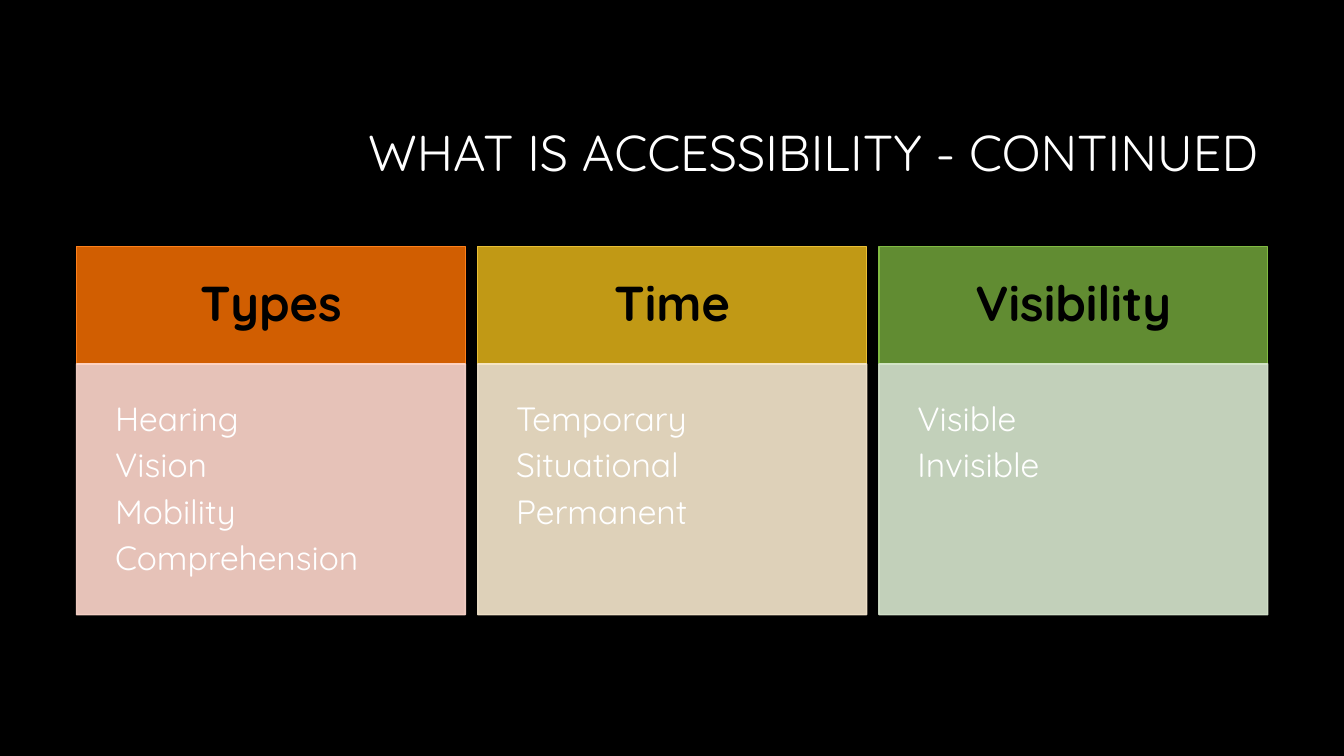
from dataclasses import dataclass

from lxml.etree import SubElement
from pptx import Presentation
from pptx.dml.color import RGBColor
from pptx.enum.shapes import MSO_SHAPE
from pptx.enum.text import MSO_ANCHOR, PP_ALIGN
from pptx.oxml.ns import qn
from pptx.shapes.autoshape import Shape
from pptx.slide import Slide
from pptx.util import Cm, Pt

FONT = "Quicksand"
BLACK = RGBColor(0x00, 0x00, 0x00)
WHITE = RGBColor(0xFF, 0xFF, 0xFF)
ORANGE = RGBColor(0xD1, 0x5E, 0x01)
AMBER = RGBColor(0xFE, 0x80, 0x1A)
PEACH = RGBColor(0xFF, 0xD8, 0xCD)
GOLD = RGBColor(0xC1, 0x99, 0x15)
YELLOW = RGBColor(0xE9, 0xBF, 0x35)
CREAM = RGBColor(0xF7, 0xE8, 0xCE)
GREEN = RGBColor(0x61, 0x8C, 0x32)
LIME = RGBColor(0x81, 0xBB, 0x42)
MINT = RGBColor(0xD8, 0xE7, 0xCF)

LEFT, TOP = 1.93, 6.22
WIDTH, STEP = 9.8, 10.11
HEAD, BODY = 2.95, 6.32


@dataclass(frozen=True)
class Column:
    title: str
    items: tuple[str, ...]
    fill: RGBColor
    edge: RGBColor
    tint: RGBColor


@dataclass(frozen=True)
class Style:
    size: float
    color: RGBColor
    bold: bool
    align: PP_ALIGN
    anchor: MSO_ANCHOR
    inset: float
    after: float


TITLE = Style(36, WHITE, False, PP_ALIGN.RIGHT, MSO_ANCHOR.MIDDLE, 0.25, 0)
HEADER = Style(35, BLACK, True, PP_ALIGN.CENTER, MSO_ANCHOR.MIDDLE, 0.79, 0)
LIST = Style(24, WHITE, False, PP_ALIGN.LEFT, MSO_ANCHOR.TOP, 0.97, 7.3)

COLUMNS = (
    Column("Types", ("Hearing", "Vision", "Mobility", "Comprehension"), ORANGE, AMBER, PEACH),
    Column("Time", ("Temporary", "Situational", "Permanent"), GOLD, YELLOW, CREAM),
    Column("Visibility", ("Visible", "Invisible"), GREEN, LIME, MINT),
)


def write(shape: Shape, text: str, style: Style) -> None:
    frame = shape.text_frame
    frame.text = text
    frame.word_wrap = True
    frame.vertical_anchor = style.anchor
    frame.margin_left = frame.margin_right = Cm(style.inset)
    frame.margin_top = frame.margin_bottom = Cm(style.inset)
    for line in frame.paragraphs:
        line.alignment = style.align
        line.line_spacing = 0.9
        line.space_after = Pt(style.after)
        for run in line.runs:
            run.font.name = FONT
            run.font.size = Pt(style.size)
            run.font.bold = style.bold
            run.font.color.rgb = style.color


def add_box(slide: Slide, left: float, top: float, height: float,
            fill: RGBColor, edge: RGBColor) -> Shape:
    box = slide.shapes.add_shape(
        MSO_SHAPE.RECTANGLE, Cm(left), Cm(top), Cm(WIDTH), Cm(height))
    box.shadow.inherit = False
    box.fill.solid()
    box.fill.fore_color.rgb = fill
    box.line.color.rgb = edge
    box.line.width = Pt(1)
    return box


def fade(box: Shape, percent: int) -> None:
    for color in box.element.spPr.iter(qn("a:srgbClr")):
        SubElement(color, qn("a:alpha")).set("val", str(percent * 1000))


def add_column(slide: Slide, left: float, column: Column) -> None:
    head = add_box(slide, left, TOP, HEAD, column.fill, column.edge)
    write(head, column.title, HEADER)
    body = add_box(slide, left, TOP + HEAD, BODY, column.tint, column.tint)
    fade(body, 90)
    write(body, "\n".join(column.items), LIST)


def main() -> None:
    deck = Presentation()
    deck.slide_width = Cm(33.87)
    deck.slide_height = Cm(19.05)
    slide = deck.slides.add_slide(deck.slide_layouts[6])
    slide.background.fill.solid()
    slide.background.fill.fore_color.rgb = BLACK
    title = slide.shapes.add_textbox(Cm(0), Cm(2.13), Cm(31.95), Cm(3.58))
    write(title, "WHAT IS ACCESSIBILITY - CONTINUED", TITLE)
    for index, column in enumerate(COLUMNS):
        add_column(slide, LEFT + index * STEP, column)
    deck.save("out.pptx")


if __name__ == "__main__":
    main()
